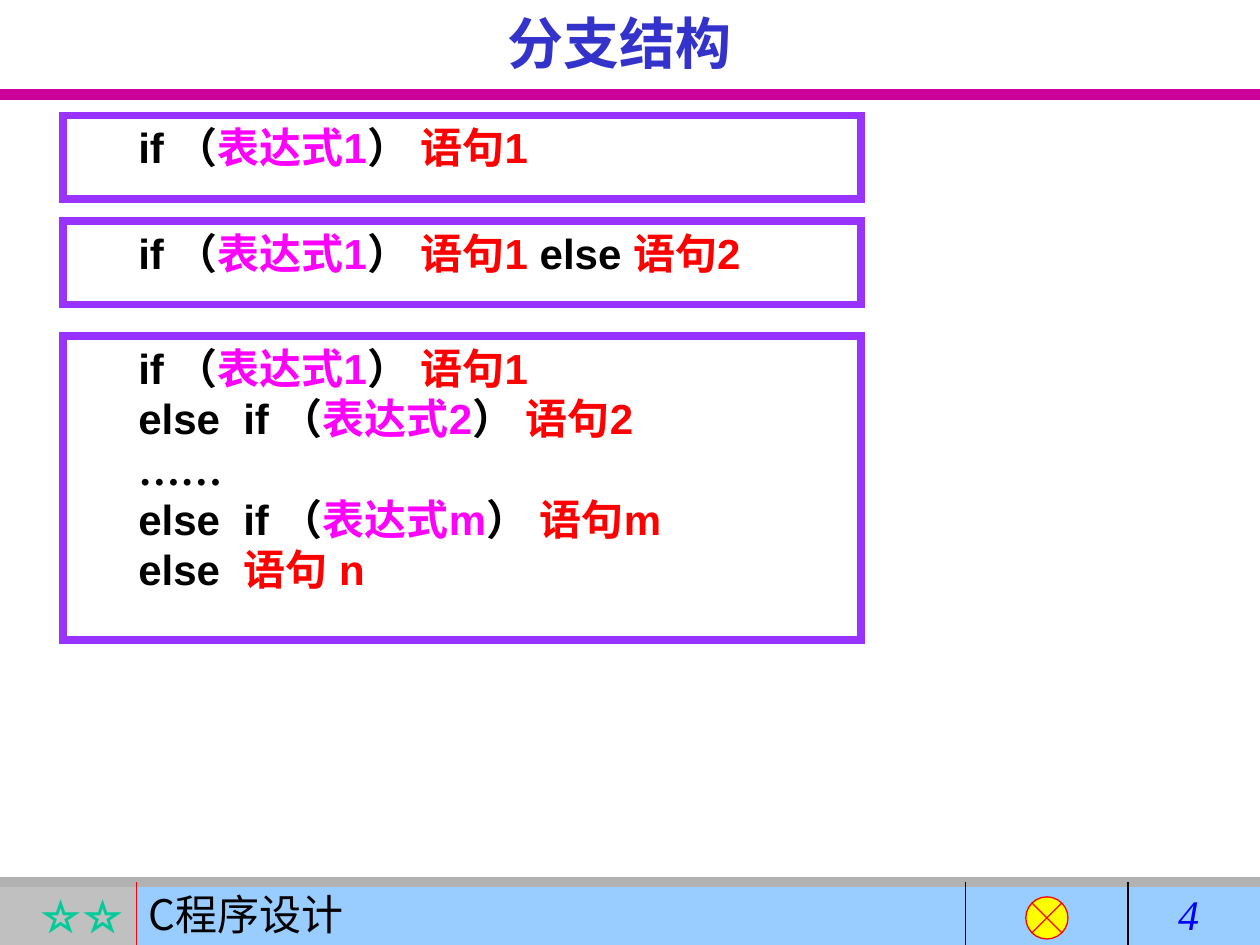
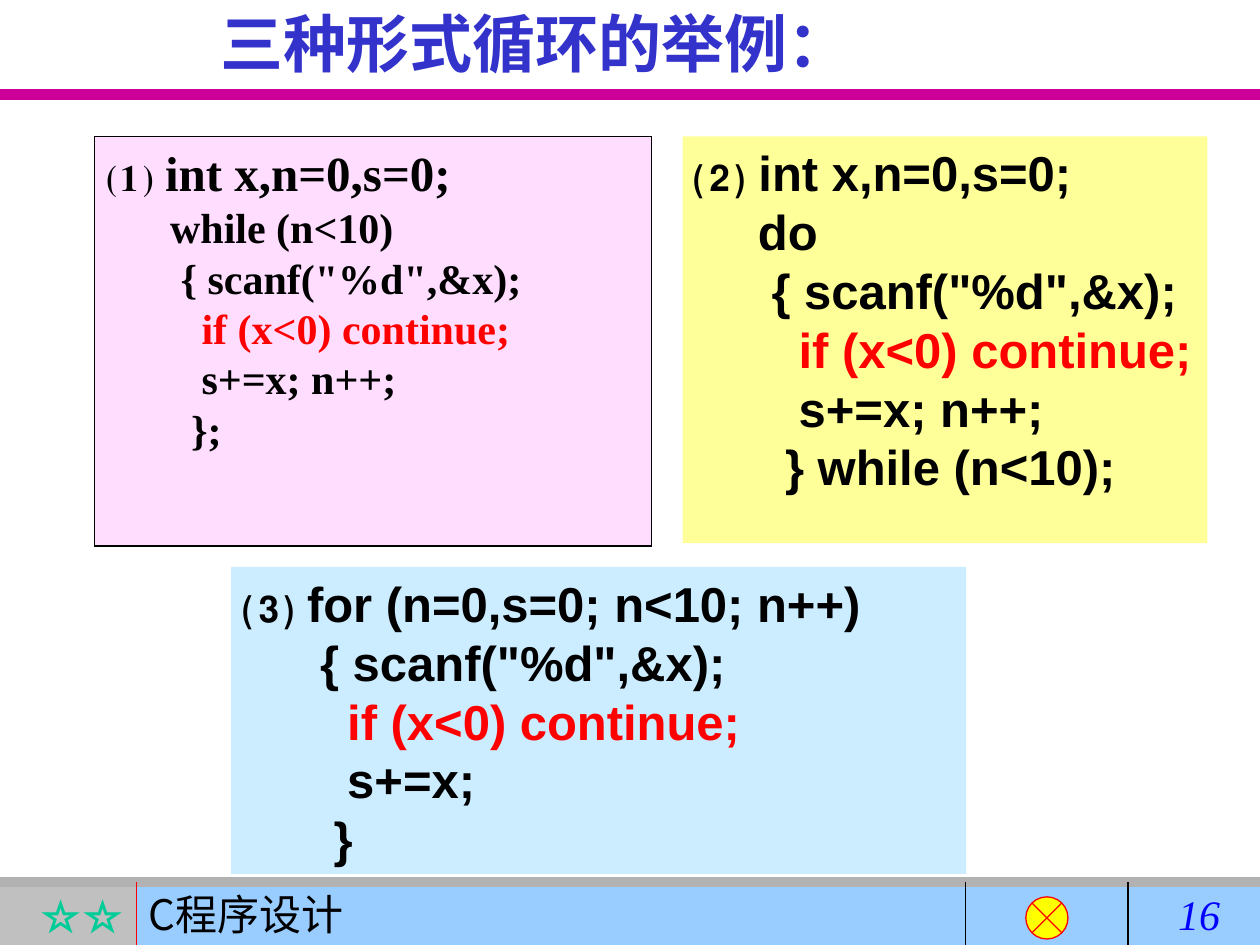
from lxml.etree import SubElement
from pptx import Presentation
from pptx.dml.color import RGBColor
from pptx.enum.shapes import MSO_CONNECTOR, MSO_SHAPE
from pptx.enum.text import MSO_ANCHOR, PP_ALIGN
from pptx.oxml.ns import qn
from pptx.util import Cm, Pt

# Shared style
SANS, SERIF, CJK = "Arial", "Times New Roman", "Noto Sans CJK SC"
BLACK, RED, MAGENTA = "000000", "FF0000", "FF00FF"
TITLE_BLUE, PAGE_BLUE, STAR_GREEN = "3333CC", "0000FF", "00CC99"
BAND_GREY, BAND_BLUE, FOOT_LINE, TITLE_LINE = "C0C0C0", "99CCFF", "B2B2B2", "CC0099"
FRAME_PURPLE, PINK, YELLOW, PALE_BLUE = "9933FF", "FFDDFF", "FFFF99", "CCECFF"
WIDTH, HEIGHT = 25.4, 19.05
FOOT_TOP, FOOT_H = 17.78, 1.27
STEP = 1.27  # indent of code under its first line


def rgb(value):
    return RGBColor.from_string(value)


# Text
def east_asian_font(text, font):
    """Chinese in a serif run is set in sans; symbols keep the run's font."""
    chinese = any("一" <= ch <= "龥" or ch in "（）" for ch in text)
    return SANS if chinese and font == SERIF else font


def add_run(p, text, color, font, **fmt):
    r = p.add_run()
    r.text = text
    r.font.color.rgb = rgb(color)
    for name, value in {"name": font, **fmt}.items():
        setattr(r.font, name, value)
    SubElement(r.font._element, qn("a:ea")).set("typeface", east_asian_font(text, font))


def add_paragraph(tf, runs, first, indent=0, align=PP_ALIGN.LEFT, **fmt):
    p = tf.paragraphs[0] if first else tf.add_paragraph()
    p.alignment = align
    if indent:
        p._p.get_or_add_pPr().set("marL", str(Cm(indent)))
    for text, color, font in runs:
        add_run(p, text, color, font, **fmt)


def set_frame(sp, anchor):
    tf = sp.text_frame
    settings = {"word_wrap": True, "vertical_anchor": anchor,
                "margin_left": Cm(0.25), "margin_right": Cm(0.25),
                "margin_top": Cm(0.13), "margin_bottom": Cm(0.13)}
    for name, value in settings.items():
        setattr(tf, name, value)
    return tf


def add_label(s, box, text, color, font, **fmt):
    sp = s.shapes.add_textbox(*map(Cm, box))
    tf = set_frame(sp, MSO_ANCHOR.MIDDLE)
    add_paragraph(tf, [(text, color, font)], True, **fmt)


# Shapes
def add_box(s, box, fill=None, line=None, weight=0.75, kind=MSO_SHAPE.RECTANGLE):
    sp = s.shapes.add_shape(kind, *map(Cm, box))
    sp.shadow.inherit = False
    if fill:
        sp.fill.solid()
        sp.fill.fore_color.rgb = rgb(fill)
    else:
        sp.fill.background()
    if line:
        sp.line.color.rgb = rgb(line)
        sp.line.width = Pt(weight)
        # Square corners
        SubElement(sp.line._get_or_add_ln(), qn("a:miter")).set("lim", "800000")
    else:
        sp.line.fill.background()
    return sp


def add_band(s, box, fill, text, color, font, **fmt):
    tf = set_frame(add_box(s, box, fill), MSO_ANCHOR.MIDDLE)
    add_paragraph(tf, [(text, color, font)], True, size=Pt(24), **fmt)


def add_line(s, x1, y1, x2, y2, color, weight=0.75):
    c = s.shapes.add_connector(MSO_CONNECTOR.STRAIGHT, Cm(x1), Cm(y1), Cm(x2), Cm(y2))
    c.line.color.rgb = rgb(color)
    c.line.width = Pt(weight)
    SubElement(c._element.spPr, qn("a:effectLst"))


# Slide frame: footer, rules, title
def add_base(prs, page, title, title_left, title_size):
    s = prs.slides.add_slide(prs.slide_layouts[6])
    split = 2.75
    add_band(s, (0, FOOT_TOP, split, FOOT_H), BAND_GREY, "☆☆", STAR_GREEN, SERIF,
             align=PP_ALIGN.RIGHT, bold=True)
    add_band(s, (split, FOOT_TOP, WIDTH - split, FOOT_H), BAND_BLUE, "C程序设计", BLACK, CJK)
    add_line(s, 0, FOOT_TOP, WIDTH, FOOT_TOP, FOOT_LINE, 6)
    for x, color in ((split, RED), (19.47, BLACK), (22.74, BLACK)):
        add_line(s, x, FOOT_TOP, x, HEIGHT, color)
    add_line(s, 0, 1.91, WIDTH, 1.91, TITLE_LINE, 6)
    add_box(s, (20.68, 18.08, 0.85, 0.85), "FFFF00", RED,
            kind=MSO_SHAPE.FLOWCHART_SUMMING_JUNCTION)
    add_label(s, (23.5, FOOT_TOP, 1.9, FOOT_H), page, PAGE_BLUE, SERIF,
              size=Pt(24), italic=True)
    add_label(s, (title_left, 0, 21.59, 1.69), title, TITLE_BLUE, SERIF,
              align=PP_ALIGN.CENTER, size=Pt(title_size), bold=True)
    return s


# Branch syntax
def clause(keyword, n):
    return [(keyword, BLACK, SANS), ("（", BLACK, SERIF), ("表达式", MAGENTA, SERIF),
            (n, MAGENTA, SANS), ("） ", BLACK, SERIF), ("语句", RED, SERIF), (n, RED, SANS)]


def add_syntax(s, top, height, lines):
    sp = add_box(s, (1.27, top, 16.09, height), line=FRAME_PURPLE, weight=4.5)
    tf = set_frame(sp, MSO_ANCHOR.TOP)
    for i, runs in enumerate(lines):
        add_paragraph(tf, runs, i == 0, STEP, size=Pt(24), bold=True)


# Loop code; the continue line is red
def add_code(s, box, fill, lines, font=SANS, body_size=28, line=None, align=PP_ALIGN.LEFT):
    tf = set_frame(add_box(s, box, fill, line), MSO_ANCHOR.TOP)
    for i, text in enumerate(lines):
        color = RED if "continue" in text else BLACK
        add_paragraph(tf, [(text, color, font)], i == 0, STEP if i else 0, align,
                      size=Pt(body_size if i else 28), bold=True)


def main():
    prs = Presentation()
    prs.slide_width, prs.slide_height = Cm(WIDTH), Cm(HEIGHT)

    # Branch structures
    s = add_base(prs, "4", "分支结构", 1.69, 32)
    if_1 = clause("if ", "1")
    add_syntax(s, 6.77, 6.14, [
        if_1,
        clause("else  if ", "2"),
        [("……", BLACK, SERIF)],
        clause("else  if ", "m"),
        [("else  ", BLACK, SANS), ("语句 ", RED, SERIF), ("n", RED, SANS)],
    ])
    add_syntax(s, 2.33, 1.69, [if_1])
    add_syntax(s, 4.45, 1.69, [if_1 + [(" else ", BLACK, SANS), ("语句2", RED, SANS)]])

    # Loop examples
    s = add_base(prs, "16", "三种形式循环的举例：", 0, 36)
    scan = ' { scanf("%d",&x);'
    skip = "   if (x<0) continue;"
    count = "   s+=x; n++;"
    add_code(s, (1.91, 2.75, 11.22, 8.26), PINK,
             ["⑴ int x,n=0,s=0;", "while (n<10)", scan, skip, count, "  };"],
             SERIF, 24, BLACK, PP_ALIGN.JUSTIFY)
    add_code(s, (13.76, 2.75, 10.58, 8.2), YELLOW,
             ["⑵ int x,n=0,s=0;", "do", scan, skip, count, "  } while (n<10);"])
    add_code(s, (4.66, 11.43, 14.82, 6.19), PALE_BLUE,
             ["⑶ for (n=0,s=0; n<10; n++)", scan, skip, "   s+=x;", "  }"])

    prs.save("out.pptx")


if __name__ == "__main__":
    main()
